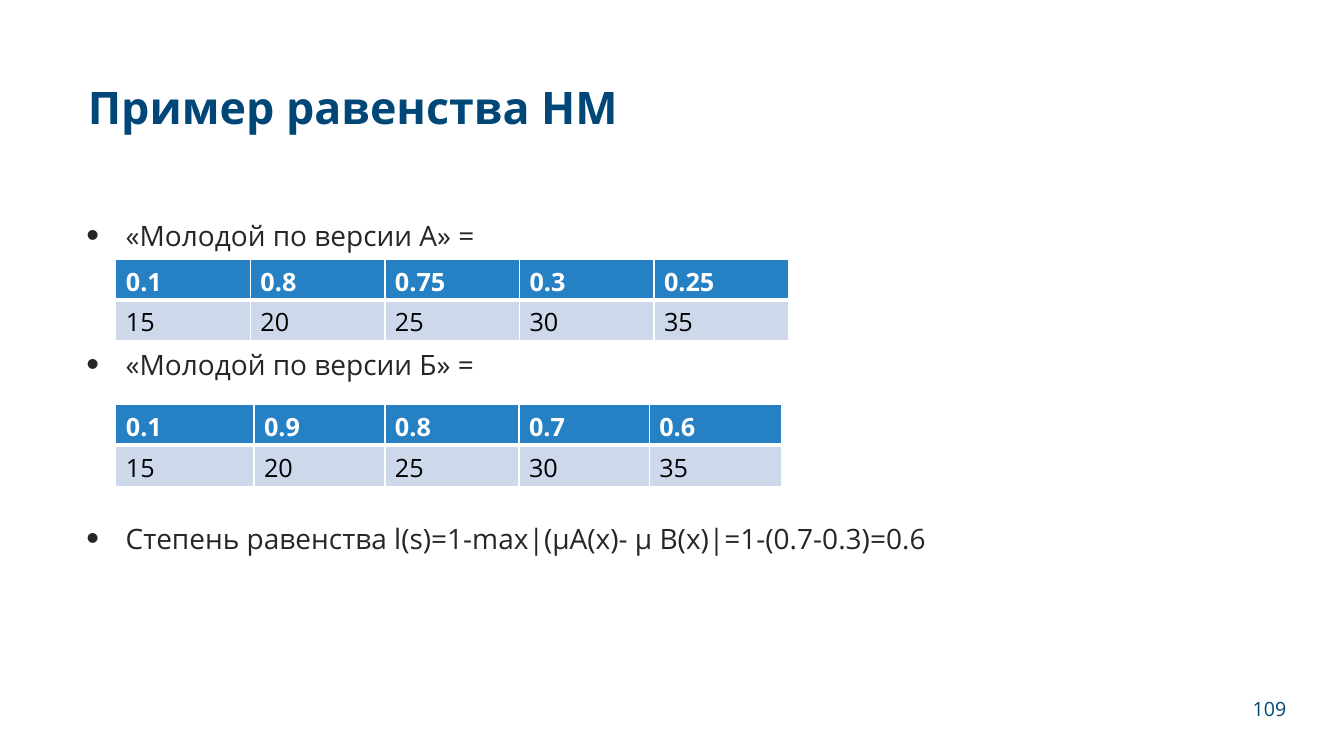
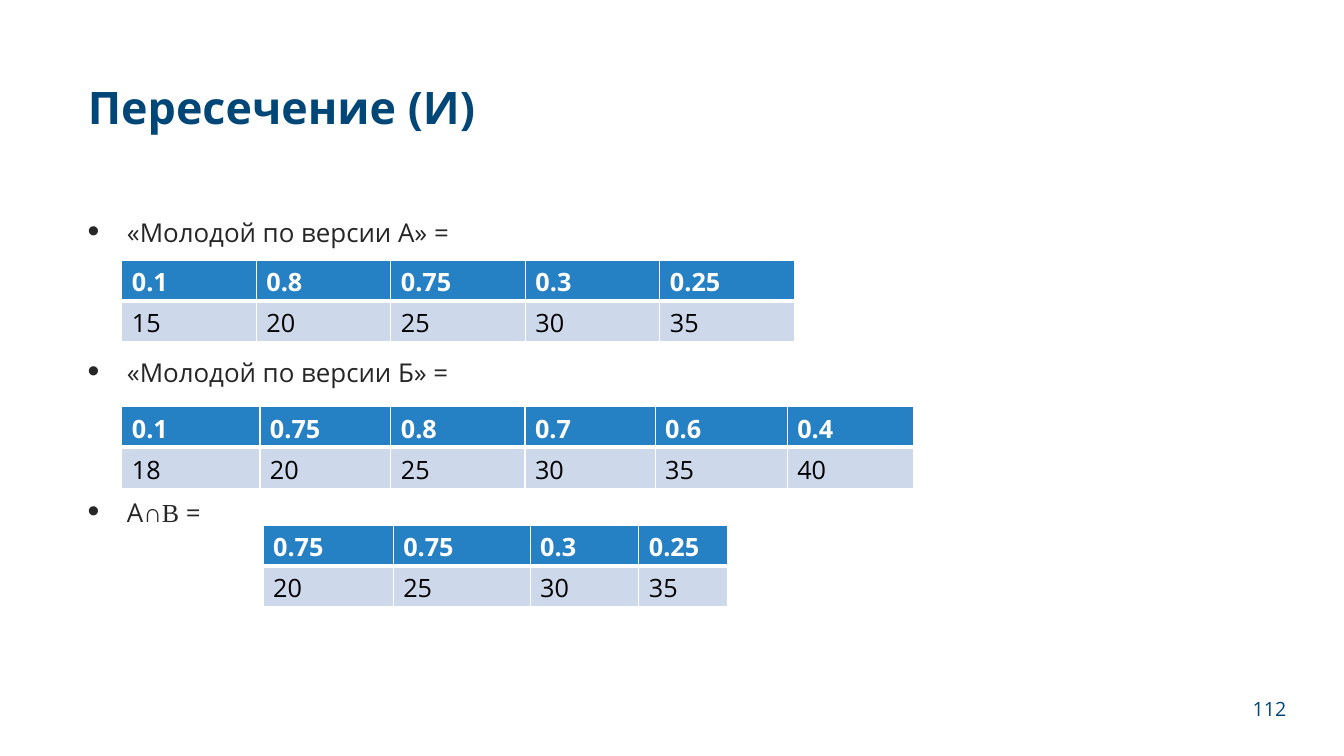
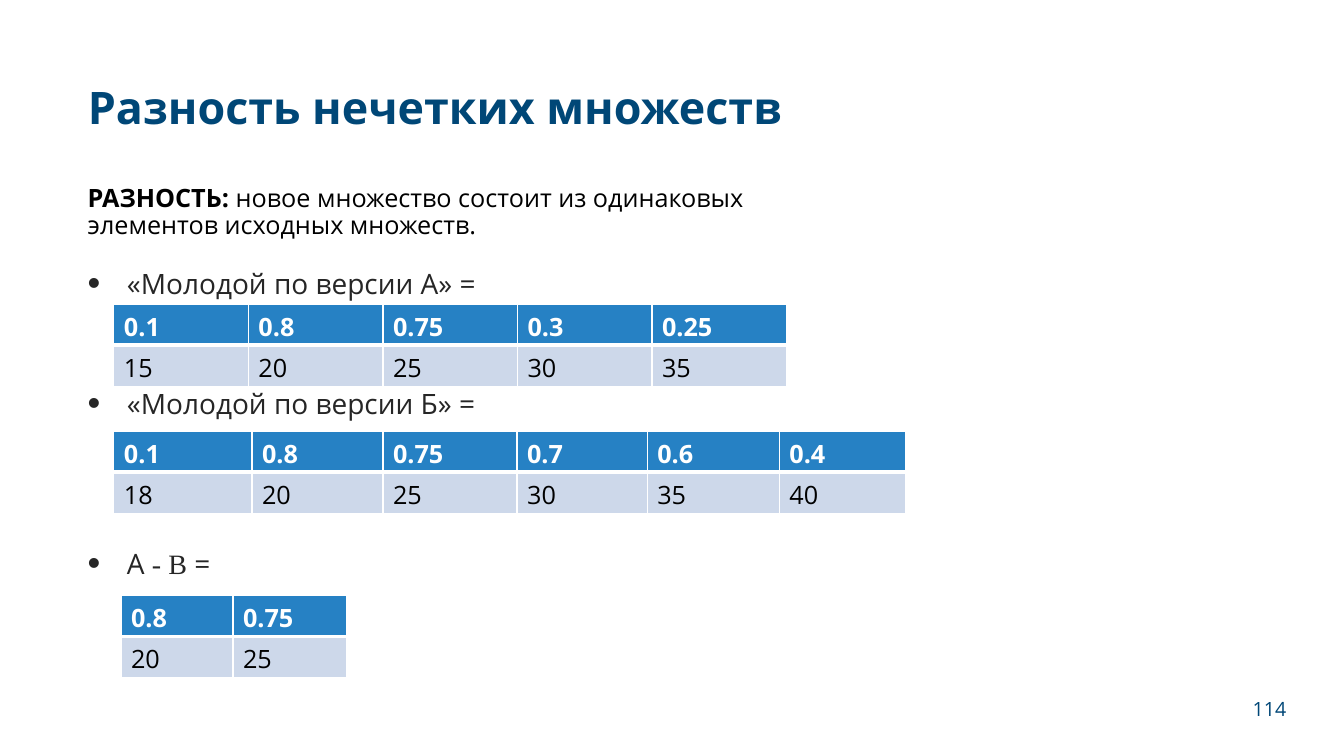
from dataclasses import dataclass

import pptx
import pptx.dml.color
import pptx.enum.text
import pptx.oxml
import pptx.oxml.ns
import pptx.presentation
import pptx.slide
import pptx.table
import pptx.text.text
import pptx.util

Cm = pptx.util.Cm
Pt = pptx.util.Pt
ALIGN = pptx.enum.text.PP_ALIGN
ANCHOR = pptx.enum.text.MSO_ANCHOR

MAIN_FONT = "Open Sans"
MATH_FONT = "Times New Roman"
NAVY, BLUE, PALE = "004777", "2681C4", "CDD8EA"
WHITE, BLACK, CHARCOAL = "FFFFFF", "000000", "262626"

TITLE_AREA = (1.96, 1.02, 26.01, 3.51)
NUMBER_AREA = (30.66, 17.37, 2.01, 0.99)
DEFINITION_AREA = (1.96, 4.55, 17.09, 1.8)
ROW_HEIGHT = 1.03
BULLET_INDENT = 0.99

EQUAL_COLUMNS = (3.39,) * 5
VARIED_COLUMNS = (3.48, 3.3, 3.38, 3.28, 3.33, 3.18)


@dataclass(frozen=True)
class Span:
    text: str
    font: str = MAIN_FONT
    bold: bool = False


@dataclass(frozen=True)
class Bullet:
    spans: tuple[Span, ...]
    space_before: float = 0


@dataclass(frozen=True)
class BulletList:
    area: tuple[float, float, float, float]
    size: float
    line_spacing: float
    bullets: tuple[Bullet, ...]


@dataclass(frozen=True)
class FuzzySet:
    left: float
    top: float
    columns: tuple[float, ...]
    memberships: str
    ages: str


@dataclass(frozen=True)
class Page:
    title: str
    number: str
    bullet_list: BulletList
    fuzzy_sets: tuple[FuzzySet, ...]
    definition: tuple[Span, ...] = ()


VERSION_A = (Span("«Молодой по версии А» ="),)
VERSION_B = (Span("«Молодой по версии Б» ="),)
SET_A = ("0.1 0.8 0.75 0.3 0.25", "15 20 25 30 35")

PAGES = (
    Page(
        "Пример равенства НМ", "109",
        BulletList((1.93, 5.54, 21.89, 10.34), 20, 0.8, (
            Bullet(VERSION_A),
            Bullet(VERSION_B, 73.2),
            Bullet((Span("Степень равенства l(s)=1-max|(μA(x)- μ B(x)|=1-(0.7-0.3)=0.6"),), 104.6),
        )),
        (
            FuzzySet(2.92, 6.53, EQUAL_COLUMNS, *SET_A),
            FuzzySet(2.92, 10.19, VARIED_COLUMNS[:5], "0.1 0.9 0.8 0.7 0.6", "15 20 25 30 35"),
        ),
    ),
    Page(
        "Пересечение (И)", "112",
        BulletList((1.96, 5.54, 21.89, 9.75), 18.5, 0.7, (
            Bullet(VERSION_A),
            Bullet(VERSION_B, 84.5),
            Bullet((Span("A"), Span("∩B", MATH_FONT), Span(" =")), 84.5),
        )),
        (
            FuzzySet(3.07, 6.55, EQUAL_COLUMNS, *SET_A),
            FuzzySet(3.07, 10.24, VARIED_COLUMNS, "0.1 0.75 0.8 0.7 0.6 0.4", "18 20 25 30 35 40"),
            FuzzySet(6.63, 13.23, (3.28, 3.45, 2.74, 2.24), "0.75 0.75 0.3 0.25", "20 25 30 35"),
        ),
    ),
    Page(
        "Разность нечетких множеств", "114",
        BulletList((1.96, 6.76, 21.89, 9.75), 20, 0.8, (
            Bullet(VERSION_A),
            Bullet(VERSION_B, 66.1),
            Bullet((Span("A "), Span("- B", MATH_FONT), Span(" =")), 95.3),
        )),
        (
            FuzzySet(2.87, 7.67, EQUAL_COLUMNS, *SET_A),
            FuzzySet(2.87, 10.87, VARIED_COLUMNS, "0.1 0.8 0.75 0.7 0.6 0.4", "18 20 25 30 35 40"),
            FuzzySet(3.05, 15.01, (2.82, 2.87), "0.8 0.75", "20 25"),
        ),
        (
            Span("РАЗНОСТЬ:", bold=True),
            Span(" новое множество состоит из одинаковых элементов исходных множеств."),
        ),
    ),
)


def rgb(color: str) -> pptx.dml.color.RGBColor:
    return pptx.dml.color.RGBColor.from_string(color)


def format_font(font: pptx.text.text.Font, size: float, color: str,
                bold: bool = False, name: str = MAIN_FONT) -> None:
    font.name = name
    font.size = Pt(size)
    font.bold = bold
    font.color.rgb = rgb(color)


def format_runs(para, size: float, color: str, bold: bool = False) -> None:
    for run in para.runs:
        format_font(run.font, size, color, bold)


def add_spans(para, spans: tuple[Span, ...], size: float, color: str) -> None:
    for span in spans:
        run = para.add_run()
        run.text = span.text
        format_font(run.font, size, color, span.bold, span.font)


def add_text_frame(slide: pptx.slide.Slide, area: tuple[float, ...]) -> pptx.text.text.TextFrame:
    frame = slide.shapes.add_textbox(*map(Cm, area)).text_frame
    frame.word_wrap = True
    return frame


def add_element(parent, tag: str, **attributes: str):
    element = parent.makeelement(pptx.oxml.ns.qn(tag), attributes)
    parent.append(element)
    return element


def add_bullet_mark(para) -> None:
    properties = para._p.get_or_add_pPr()
    properties.set("marL", str(Cm(BULLET_INDENT)))
    properties.set("indent", str(-Cm(BULLET_INDENT)))
    add_element(properties, "a:buSzPct", val="130000")
    add_element(properties, "a:buFont", typeface="Arial")
    add_element(properties, "a:buChar", char="•")


def add_title(slide: pptx.slide.Slide, text: str) -> None:
    title = slide.shapes.title
    title.left, title.top, title.width, title.height = map(Cm, TITLE_AREA)
    frame = title.text_frame
    frame.text = text
    frame.vertical_anchor = ANCHOR.MIDDLE
    para = frame.paragraphs[0]
    para.alignment = ALIGN.LEFT
    para.line_spacing = 0.9
    format_runs(para, 32, NAVY, bold=True)


def add_page_number(slide: pptx.slide.Slide, number: str) -> None:
    frame = add_text_frame(slide, NUMBER_AREA)
    frame.text = number
    frame.vertical_anchor = ANCHOR.MIDDLE
    para = frame.paragraphs[0]
    para.alignment = ALIGN.RIGHT
    format_runs(para, 14, NAVY)


def add_bullet_list(slide: pptx.slide.Slide, bullet_list: BulletList) -> None:
    frame = add_text_frame(slide, bullet_list.area)
    for index, bullet in enumerate(bullet_list.bullets):
        para = frame.add_paragraph() if index else frame.paragraphs[0]
        add_bullet_mark(para)
        para.line_spacing = bullet_list.line_spacing
        if bullet.space_before:
            para.space_before = Pt(bullet.space_before)
        add_spans(para, bullet.spans, bullet_list.size, CHARCOAL)


def add_borders(cell: pptx.table._Cell, bottom_width: float) -> None:
    """Draw white borders; call before the fill is set, as lines come first in the XML."""
    properties = cell._tc.get_or_add_tcPr()
    for side, width in (("L", 1), ("R", 1), ("T", 1), ("B", bottom_width)):
        line = add_element(properties, f"a:ln{side}", w=str(Pt(width)))
        add_element(add_element(line, "a:solidFill"), "a:srgbClr", val=WHITE)


def add_fuzzy_set(slide: pptx.slide.Slide, fuzzy_set: FuzzySet) -> None:
    """Add a table with membership degrees above the ages they belong to."""
    columns = fuzzy_set.columns
    table = slide.shapes.add_table(
        2, len(columns), Cm(fuzzy_set.left), Cm(fuzzy_set.top),
        Cm(sum(columns)), Cm(2 * ROW_HEIGHT)).table
    for column, width in zip(table.columns, columns):
        column.width = Cm(width)
    rows = (
        (fuzzy_set.memberships, BLUE, WHITE, True, 3),
        (fuzzy_set.ages, PALE, BLACK, False, 1),
    )
    for row_index, (values, fill, color, bold, bottom_width) in enumerate(rows):
        table.rows[row_index].height = Cm(ROW_HEIGHT)
        for column_index, value in enumerate(values.split()):
            cell = table.cell(row_index, column_index)
            add_borders(cell, bottom_width)
            cell.fill.solid()
            cell.fill.fore_color.rgb = rgb(fill)
            cell.text_frame.text = value
            format_runs(cell.text_frame.paragraphs[0], 18, color, bold)


def add_definition(slide: pptx.slide.Slide, spans: tuple[Span, ...]) -> None:
    para = add_text_frame(slide, DEFINITION_AREA).paragraphs[0]
    para.line_spacing = 0.9
    add_spans(para, spans, 18, BLACK)


def add_page(deck: pptx.presentation.Presentation, page: Page) -> None:
    title_only = deck.slide_layouts.get_by_name("Title Only")
    slide = deck.slides.add_slide(title_only)
    add_title(slide, page.title)
    add_page_number(slide, page.number)
    add_bullet_list(slide, page.bullet_list)
    for fuzzy_set in page.fuzzy_sets:
        add_fuzzy_set(slide, fuzzy_set)
    if page.definition:
        add_definition(slide, page.definition)


def main() -> None:
    deck = pptx.Presentation()
    deck.slide_width, deck.slide_height = Cm(33.87), Cm(19.05)
    for page in PAGES:
        add_page(deck, page)
    deck.save("out.pptx")


if __name__ == "__main__":
    main()
